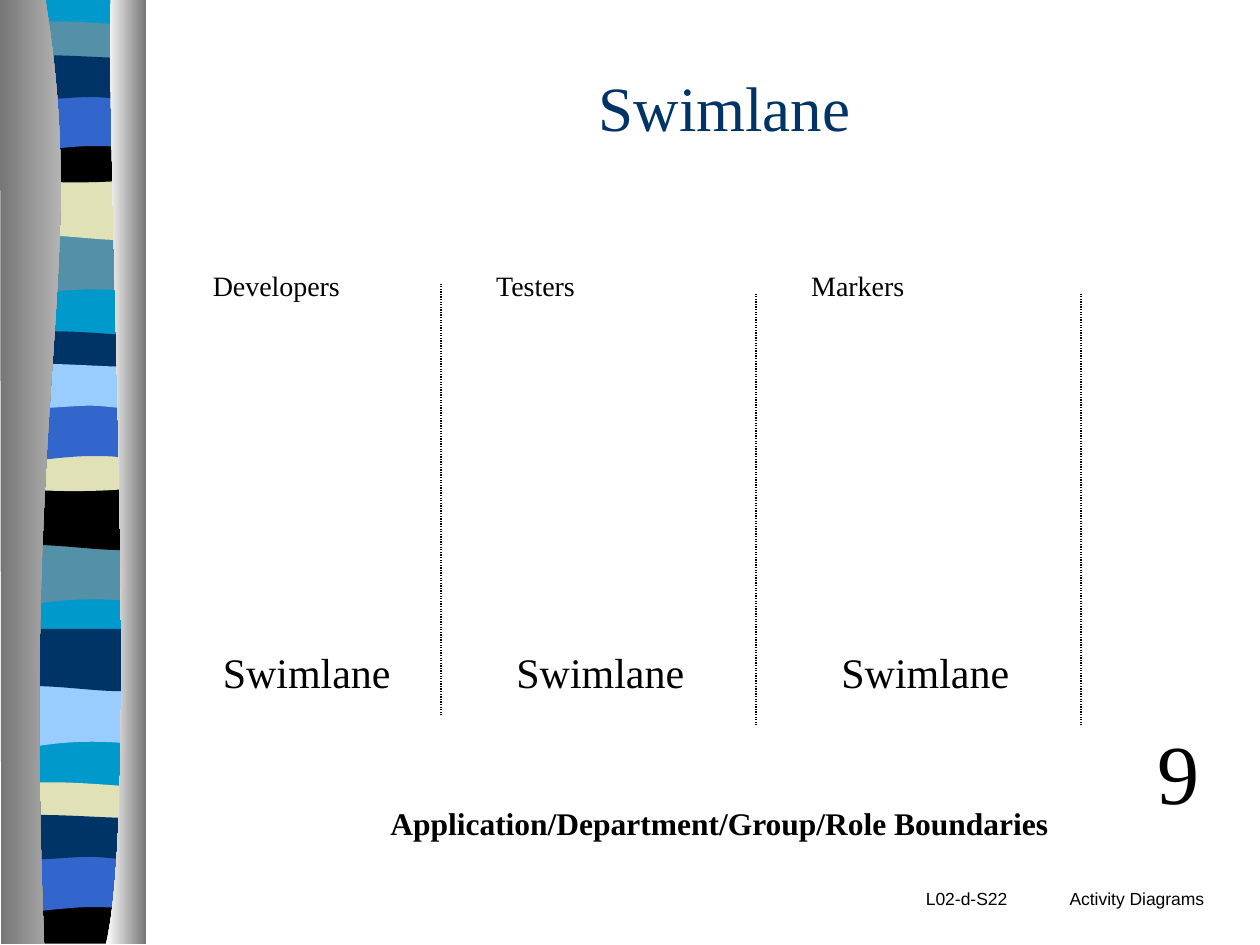
from dataclasses import dataclass
from typing import NamedTuple

from lxml.etree import SubElement
from pptx import Presentation
from pptx.dml.color import RGBColor as RGB
from pptx.enum.dml import MSO_LINE
from pptx.enum.shapes import MSO_CONNECTOR as CONN
from pptx.enum.text import MSO_ANCHOR as ANCHOR, MSO_AUTO_SIZE as FIT, PP_ALIGN as ALIGN
from pptx.oxml.ns import qn
from pptx.util import Pt

PX = 9144  # EMU per px, 100 px to the inch


@dataclass(frozen=True)
class Theme:
    serif: str = "Times New Roman"
    sans: str = "Arial"
    title: int = 36
    number: int = 48
    lane: int = 24
    caption: int = 18
    role: int = 16
    footer: int = 10
    text: str = "000000"
    black: str = "000000"
    navy: str = "003366"
    blue: str = "3366CC"
    cyan: str = "0099CC"
    sky: str = "99CCFF"
    teal: str = "5490A8"
    sand: str = "E1E1B7"
    shade: str = "767676"
    silver: str = "D2D2D2"
    white: str = "FFFFFF"


T = Theme()


class Band(NamedTuple):
    outline: str
    x: int
    y: int
    color: str


class Label(NamedTuple):
    text: str
    x: int
    y: int
    w: int
    h: int
    size: int
    font: str = T.serif
    color: str = T.text
    bold: bool = False
    wrap: bool = False
    align: ALIGN = ALIGN.LEFT
    anchor: ANCHOR = ANCHOR.TOP
    tab: int = 0


class Lane(NamedTuple):
    role: str
    role_x: int
    role_w: int
    name_x: int
    line_x: int
    line_y: int


# Outlines: two numbers make a line, six a Bezier curve
OUTLINES = {
    "backdrop": [(108, 0), (108, 747), (0, 747), (0, 0)],
    "flow": [(108, 0), (108, 47), (33, 39, 18, 55, 0, 47), (0, 0)],
    "swell": [(108, 0), (108, 47), (90, 55, 33, 41, 0, 47), (0, 0)],
    "ribbon": [(108, 0), (108, 24), (90, 29, 18, 29, 0, 24), (0, 0),
               (7, -5, 23, -4, 41, -4), (59, -4, 94, -1, 108, 0)],
    "bowl": [(108, 0), (108, 33), (90, 38, 18, 38, 0, 33), (0, 0), (66, 5, 85, 0, 108, 0)],
    "arch": [(108, 0), (108, 47), (91, 42, 84, 42, 66, 42), (48, 42, 16, 47, 0, 47), (0, 0)],
    "dome": [(108, 0), (108, 31), (101, 36, 84, 31, 66, 31), (48, 31, 11, 36, 0, 31), (0, 0),
             (15, -5, 73, 0, 91, 0), (109, 0, 104, 0, 108, 0)],
    "foot": [(107, 0), (108, 37), (1, 37), (-1, 0), (66, 5, 85, 0, 107, 0)],
    "left edge": [(36, 0), (71, 216, 17, 296, 35, 749), (1, 749), (0, 0)],
    "right edge": [(88, 0), (84, 125, 111, 646, 84, 749), (116, 749), (116, 0)],
}

BANDS = [
    Band("backdrop", 6, 0, T.cyan),
    Band("flow", 6, 185, T.teal),
    Band("swell", 6, 141, T.sand),
    Band("ribbon", 6, 21, T.teal),
    Band("bowl", 6, 108, T.black),
    Band("arch", 6, 74, T.blue),
    Band("dome", 6, 46, T.navy),
    Band("flow", 5, 431, T.teal),
    Band("swell", 5, 387, T.black),
    Band("ribbon", 5, 267, T.navy),
    Band("bowl", 5, 353, T.sand),
    Band("arch", 5, 320, T.blue),
    Band("dome", 5, 291, T.sky),
    Band("flow", 5, 544, T.sky),
    Band("swell", 5, 499, T.navy),
    Band("ribbon", 5, 625, T.sand),
    Band("foot", 5, 712, T.black),
    Band("arch", 5, 678, T.blue),
    Band("dome", 5, 649, T.navy),
]

LANES = [
    Lane("Developers", 159, 121, 167, 350, 225),
    Lane("Testers", 384, 84, 400, 600, 233),
    Lane("Markers", 634, 94, 658, 858, 233),
]
LANE_HEIGHT = 342

LABELS = [
    Label("L02-d-S22\tActivity Diagrams", 725, 700, 250, 33, T.footer, T.sans, wrap=True, tab=114),
    Label("9", 909, 567, 53, 90, T.number),
    Label("Swimlane", 150, 47, 850, 75, T.title, color=T.navy, wrap=True,
          align=ALIGN.CENTER, anchor=ANCHOR.MIDDLE),
    Label("Application/Department/Group/Role Boundaries", 300, 633, 543, 40, T.caption, bold=True),
]


def draw_outline(shapes, name: str, x: int = 0, y: int = 0):
    steps = OUTLINES[name]
    points = [((px + x) * PX, (py + y) * PX)
              for step in steps for px, py in zip(step[::2], step[1::2])]
    builder = shapes.build_freeform(*points[0], scale=1.0)
    builder.add_line_segments(points[1:], close=True)
    sp = builder.convert_to_shape()
    sp.shadow.inherit = False
    sp.line.fill.background()

    # Join each run of three curve points into one Bezier segment
    segments = iter(list(sp._element.iter(qn("a:lnTo"))))
    for step in steps[1:]:
        first = next(segments)
        if len(step) == 6:
            first.tag = qn("a:cubicBezTo")
            for other in (next(segments), next(segments)):
                first.append(other[0])
                other.getparent().remove(other)
    return sp


def draw_band(shapes, band: Band) -> None:
    sp = draw_outline(shapes, band.outline, band.x, band.y)
    sp.fill.solid()
    sp.fill.fore_color.rgb = RGB.from_string(band.color)


def draw_edge(shapes, name: str, start: str, end: str) -> None:
    fill = draw_outline(shapes, name).fill
    fill.gradient()
    fill.gradient_angle = 0
    for stop, color in zip(fill.gradient_stops, (start, end)):
        stop.color.rgb = RGB.from_string(color)


def draw_label(shapes, label: Label) -> None:
    sp = shapes.add_textbox(*(v * PX for v in (label.x, label.y, label.w, label.h)))
    tf = sp.text_frame
    tf.word_wrap = label.wrap
    tf.auto_size = FIT.NONE if label.wrap else FIT.SHAPE_TO_FIT_TEXT
    tf.vertical_anchor = label.anchor
    p = tf.paragraphs[0]
    p.text = label.text
    p.alignment = label.align
    if label.tab:
        tabs = SubElement(p._p.get_or_add_pPr(), qn("a:tabLst"))
        SubElement(tabs, qn("a:tab"), pos=str(label.tab * PX), algn="l")
    p.font.name, p.font.size, p.font.bold = label.font, Pt(label.size), label.bold
    p.font.color.rgb = RGB.from_string(label.color)


def draw_lane(shapes, lane: Lane) -> None:
    x, y = lane.line_x * PX, lane.line_y * PX
    divider = shapes.add_connector(CONN.STRAIGHT, x, y, x, y + LANE_HEIGHT * PX)
    divider.line.color.rgb = RGB.from_string(T.black)
    divider.line.width = Pt(0.75)
    divider.line.dash_style = MSO_LINE.ROUND_DOT
    SubElement(divider._element.spPr, qn("a:effectLst"))
    draw_label(shapes, Label(lane.role, lane.role_x, 208, lane.role_w, 37, T.role))
    draw_label(shapes, Label("Swimlane", lane.name_x, 508, 153, 50, T.lane))


def main() -> None:
    prs = Presentation()
    prs.slide_width, prs.slide_height = 1000 * PX, 750 * PX
    s = prs.slides.add_slide(prs.slide_layouts[6])

    # Striped column on the left
    for band in BANDS:
        draw_band(s.shapes, band)
    draw_edge(s.shapes, "left edge", T.shade, T.silver)
    draw_edge(s.shapes, "right edge", T.white, T.shade)

    # Title, caption, number and footer
    for label in LABELS:
        draw_label(s.shapes, label)

    # Swimlanes
    for lane in LANES:
        draw_lane(s.shapes, lane)

    prs.save("out.pptx")


if __name__ == "__main__":
    main()
